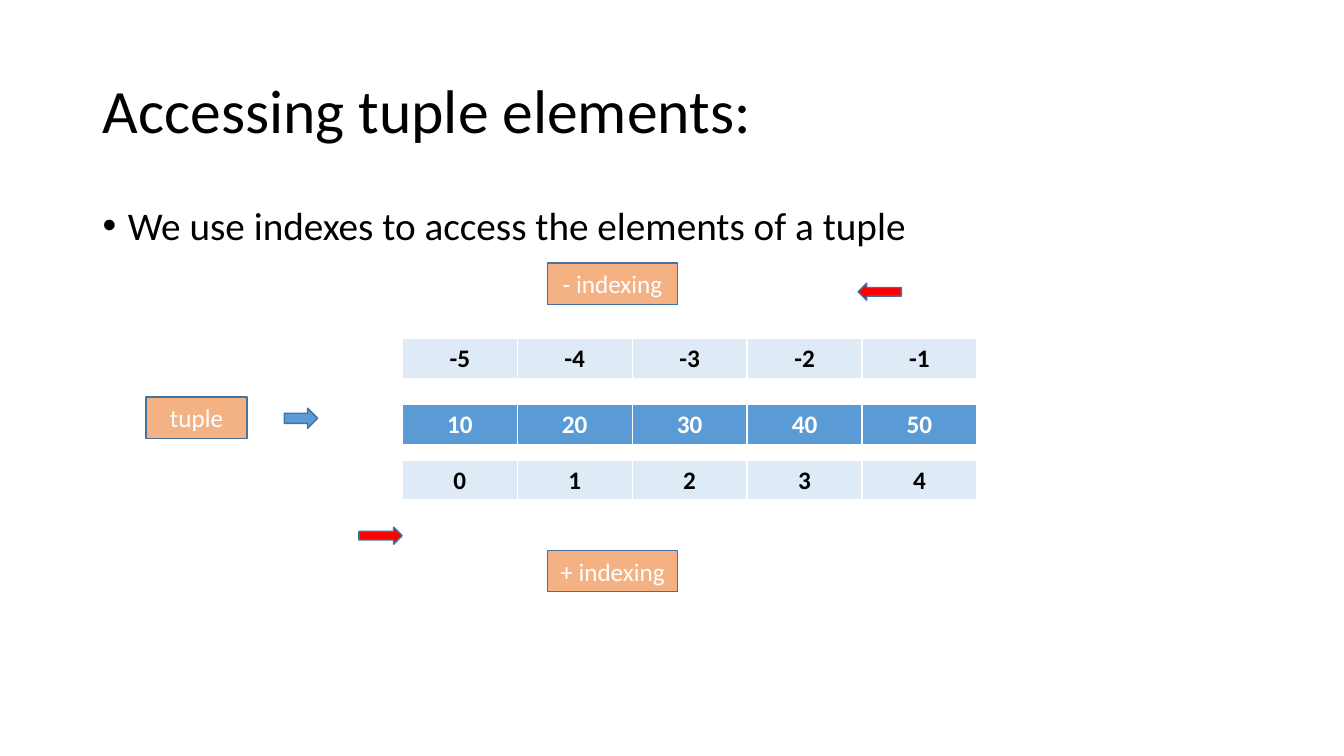
import lxml.etree
import pptx
import pptx.dml.color
import pptx.enum.shapes
import pptx.enum.text
import pptx.oxml.ns
import pptx.util

PX = 9144  # EMU per px, 100 px to the inch
COLORS = {
    "black": "000000", "white": "FFFFFF", "orange": "F4B183", "blue": "5B9BD5",
    "pale": "DEEBF7", "red": "FF0000", "outline": "43739E",
}
ALIGN = pptx.enum.text.PP_ALIGN
ANCHOR = pptx.enum.text.MSO_ANCHOR
SHAPE = pptx.enum.shapes.MSO_SHAPE
qn = pptx.oxml.ns.qn


def color(name):
    return pptx.dml.color.RGBColor.from_string(COLORS[name])


def add_text(frame, text, size, name, align=ALIGN.LEFT, bold=False):
    para = frame.paragraphs[0]
    para.alignment = align
    span = para.add_run()
    span.text = text
    span.font.name = "Calibri"
    span.font.size = pptx.util.Pt(size)
    span.font.bold = bold
    span.font.color.rgb = color(name)
    return para


deck = pptx.Presentation()
deck.slide_width, deck.slide_height = 1333 * PX, 750 * PX
page = deck.slides.add_slide(deck.slide_layouts[5])

# Title and bullet
title = page.shapes.title
title.left, title.top, title.width, title.height = 92 * PX, 40 * PX, 1150 * PX, 145 * PX
title.text_frame.vertical_anchor = ANCHOR.MIDDLE
add_text(title.text_frame, "Accessing tuple elements:", 44, "black").line_spacing = 0.9

body = page.shapes.add_textbox(92 * PX, 200 * PX, 1150 * PX, 476 * PX)
body.text_frame.word_wrap = True
para = add_text(body.text_frame, "We use indexes to access the elements of a tuple", 28, "black")
para.line_spacing = 0.9
para.space_before = pptx.util.Pt(10)
props = para._p.get_or_add_pPr()
props.set("marL", str(25 * PX))
props.set("indent", str(-25 * PX))
lxml.etree.SubElement(props, qn("a:buFont"), typeface="Arial")
lxml.etree.SubElement(props, qn("a:buChar"), char="•")

# Labels and arrows: shape, left, top, width, height, fill, rotation, text
for kind, left, top, width, height, fill, rotation, text in [
    (SHAPE.RECTANGLE, 145, 394, 100, 41, "orange", 0, "tuple"),
    (SHAPE.RECTANGLE, 543, 546, 129, 41, "orange", 0, "+ indexing"),
    (SHAPE.RECTANGLE, 543, 261, 129, 41, "orange", 0, "- indexing"),
    (SHAPE.RIGHT_ARROW, 282, 405, 33, 20, "blue", 0, ""),
    (SHAPE.RIGHT_ARROW, 356, 523, 43, 17, "red", 0, ""),
    (SHAPE.RIGHT_ARROW, 851, 281, 43, 17, "red", 180, ""),
]:
    box = page.shapes.add_shape(kind, left * PX, top * PX, width * PX, height * PX)
    box.shadow.inherit = False
    box.rotation = rotation
    box.fill.solid()
    box.fill.fore_color.rgb = color(fill)
    box.line.color.rgb = color("outline")
    box.line.width = pptx.util.Pt(1)
    if text:
        box.text_frame.vertical_anchor = ANCHOR.MIDDLE
        add_text(box.text_frame, text, 18, "white", ALIGN.CENTER)

# Tuple values between their negative and positive indexes
for top, height, values, fill, ink in [
    (401, 41, range(10, 60, 10), "blue", "white"),
    (457, 40, range(5), "pale", "black"),
    (336, 41, range(-5, 0), "pale", "black"),
]:
    frame = page.shapes.add_table(1, 5, 399 * PX, top * PX, 570 * PX, height * PX)
    for cell, value in zip(frame.table.rows[0].cells, values):
        add_text(cell.text_frame, str(value), 18, ink, ALIGN.CENTER, True)
        cell_props = cell._tc.get_or_add_tcPr()
        for side, points in [("L", 1), ("R", 1), ("T", 1), ("B", 3)]:
            border = lxml.etree.SubElement(
                cell_props, qn("a:ln" + side), w=str(pptx.util.Pt(points)))
            solid = lxml.etree.SubElement(border, qn("a:solidFill"))
            lxml.etree.SubElement(solid, qn("a:srgbClr"), val=COLORS["white"])
        cell.fill.solid()
        cell.fill.fore_color.rgb = color(fill)

deck.save("out.pptx")
